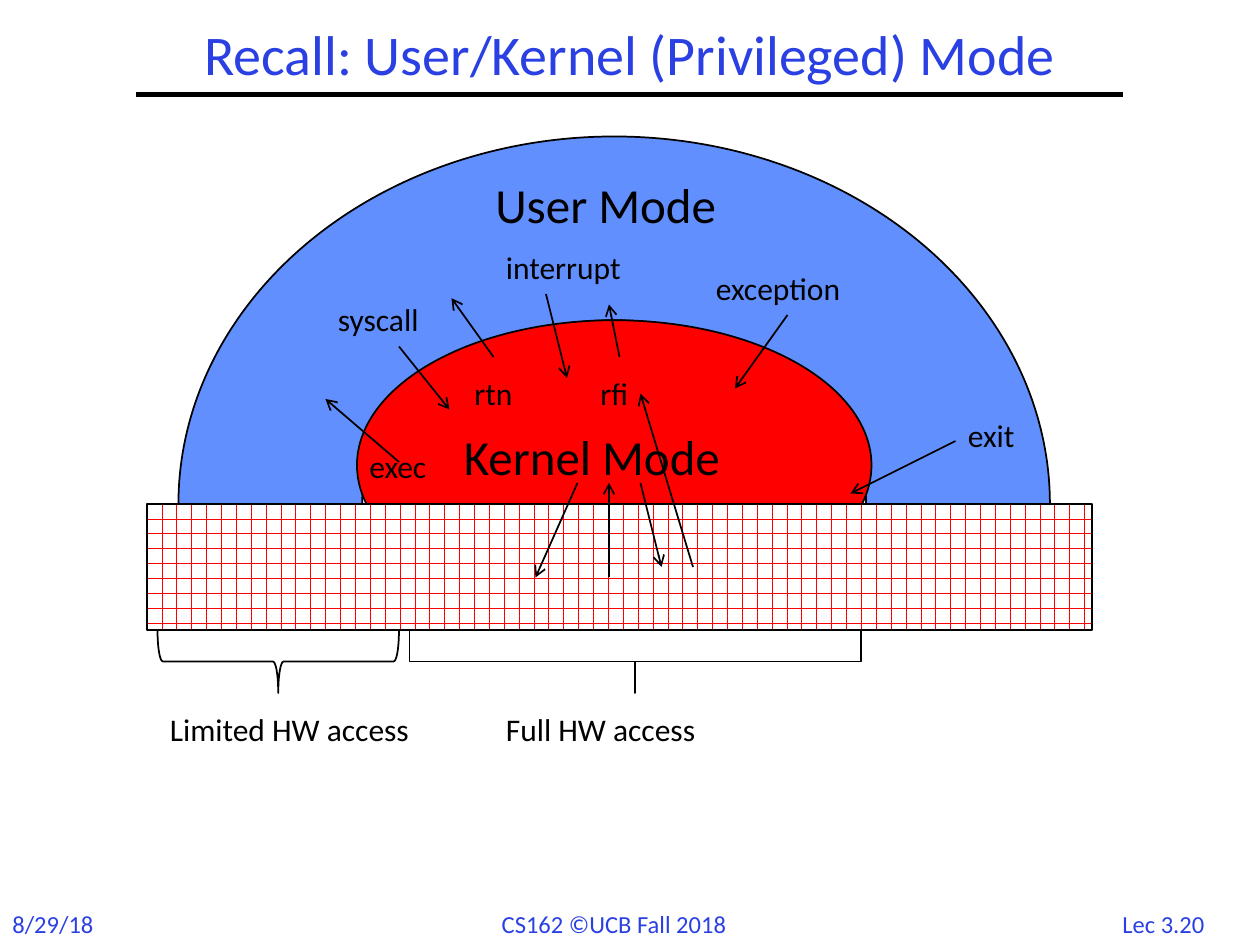
from lxml.etree import SubElement
from pptx import Presentation
from pptx.dml.color import RGBColor
from pptx.enum.dml import MSO_PATTERN as Pattern
from pptx.enum.shapes import MSO_CONNECTOR as Connector, MSO_SHAPE as Shape
from pptx.enum.text import MSO_ANCHOR as Anchor, PP_ALIGN as Align
from pptx.oxml.ns import qn
from pptx.util import Cm, Pt

BLACK = RGBColor(0x00, 0x00, 0x00)
WHITE = RGBColor(0xFF, 0xFF, 0xFF)
RED = RGBColor(0xFF, 0x00, 0x00)
USER_BLUE = RGBColor(0x61, 0x8F, 0xFD)
TITLE_BLUE = RGBColor(0x2A, 0x40, 0xE2)

UNITS_PER_INCH = 12
SLIDE_SIZE = (120, 90)

TITLE = ("Recall: User/Kernel (Privileged) Mode", (13, 2, 94, 7))
TITLE_RULE = ((13, 9), (107, 9))
FOOTERS = [
    ("8/29/18", (0, 86, 12, 4), Align.LEFT),
    ("CS162 ©UCB Fall 2018", (46.6, 86, 24.8, 4), Align.LEFT),
    ("Lec 3.20", (105.2, 86, 11.2, 4), Align.CENTER),
]
USER_ARC = (17, 13, 83, 70)
KERNEL_OVAL = (34, 30.5, 49, 27.6)
HARDWARE = (14, 48, 90, 12)
MODES = [
    ("User Mode", (46, 16, 24, 6.8)),
    ("Kernel Mode", (43, 40, 27.2, 6.8)),
]
ACCESS = [
    ("Limited HW access", (15, 67, 26.4, 4.8), (15, 38), None),
    ("Full HW access", (47, 67, 21.5, 4.8), (39, 82), 0),
]
BRACE_TOP, BRACE_DEPTH = 60, 6
TRANSITIONS = [
    ("exec", (34, 42, 8.2, 4.8), (38, 44), (31, 38)),
    ("syscall", (31, 28, 12, 4.8), (38, 33), (42.8, 39)),
    ("exit", (91, 39, 7, 4.8), (91, 42), (81, 47)),
    ("rtn", (44, 35, 6.2, 4.8), (47, 34), (43, 28.4)),
    ("interrupt", (47, 23, 17, 4.8), (52, 28), (54, 36)),
    ("rfi", (56, 35, 5, 4.8), (59, 34), (58, 29)),
    ("exception", (67, 25, 17, 4.8), (75, 30), (70, 37)),
]
HARDWARE_ARROWS = [
    ((55, 46), (51, 55)),
    ((58, 55), (58, 46)),
    ((61, 46), (63, 54)),
    ((66, 54), (61, 37.5)),
]


def grid(*values):
    return [Cm(value * 2.54 / UNITS_PER_INCH) for value in values]


def add_text(shapes, text, place, size=18, color=BLACK, align=Align.LEFT,
             anchor=Anchor.TOP, wrap=False, spacing=None):
    box = shapes.add_textbox(*grid(*place))
    frame = box.text_frame
    frame.word_wrap = wrap
    frame.vertical_anchor = anchor
    para = frame.paragraphs[0]
    para.alignment = align
    para.line_spacing = spacing
    span = para.add_run()
    span.text = text
    span.font.name = "Calibri"
    span.font.size = Pt(size)
    span.font.color.rgb = color


def add_shape(shapes, kind, place, color=None):
    shape = shapes.add_shape(kind, *grid(*place))
    shape.shadow.inherit = False
    if color is None:
        shape.fill.background()
    else:
        shape.fill.solid()
        shape.fill.fore_color.rgb = color
    shape.line.color.rgb = BLACK
    shape.line.width = Pt(1)
    return shape


def add_line(shapes, start, end, width=1, arrow=True):
    line = shapes.add_connector(Connector.STRAIGHT, *grid(*start, *end))
    line.line.color.rgb = BLACK
    line.line.width = Pt(width)
    properties = line._element.spPr
    if arrow:
        SubElement(properties.find(qn("a:ln")), qn("a:tailEnd"), type="arrow")
    SubElement(properties, qn("a:effectLst"))


def add_brace(shapes, left, right, curve):
    length = right - left
    middle = (left + right) / 2
    place = (middle - BRACE_DEPTH / 2, BRACE_TOP + (BRACE_DEPTH - length) / 2,
             BRACE_DEPTH, length)
    brace = add_shape(shapes, Shape.RIGHT_BRACE, place)
    brace.rotation = 90
    if curve is not None:
        brace.adjustments[0] = curve


def main():
    deck = Presentation()
    deck.slide_width, deck.slide_height = grid(*SLIDE_SIZE)
    page = deck.slides.add_slide(deck.slide_layouts[6])
    shapes = page.shapes

    for text, place, align in FOOTERS:
        add_text(shapes, text, place, size=14, color=TITLE_BLUE, align=align,
                 wrap=True)
    add_line(shapes, *TITLE_RULE, width=3, arrow=False)
    add_text(shapes, *TITLE, size=32, color=TITLE_BLUE, align=Align.CENTER,
             anchor=Anchor.MIDDLE, wrap=True, spacing=0.9)

    add_shape(shapes, Shape.BLOCK_ARC, USER_ARC, USER_BLUE)
    add_shape(shapes, Shape.OVAL, KERNEL_OVAL, RED)
    for text, place in MODES:
        add_text(shapes, text, place, size=28)

    hardware = add_shape(shapes, Shape.RECTANGLE, HARDWARE)
    hardware.fill.patterned()
    hardware.fill.pattern = Pattern.HORIZONTAL_BRICK
    hardware.fill.fore_color.rgb = RED
    hardware.fill.back_color.rgb = WHITE

    for text, place, extent, curve in ACCESS:
        add_brace(shapes, *extent, curve)
        add_text(shapes, text, place)
    for text, place, start, end in TRANSITIONS:
        group = shapes.add_group_shape()
        add_line(group.shapes, start, end)
        add_text(group.shapes, text, place)
    for start, end in HARDWARE_ARROWS:
        add_line(shapes, start, end)

    deck.save("out.pptx")


if __name__ == "__main__":
    main()
